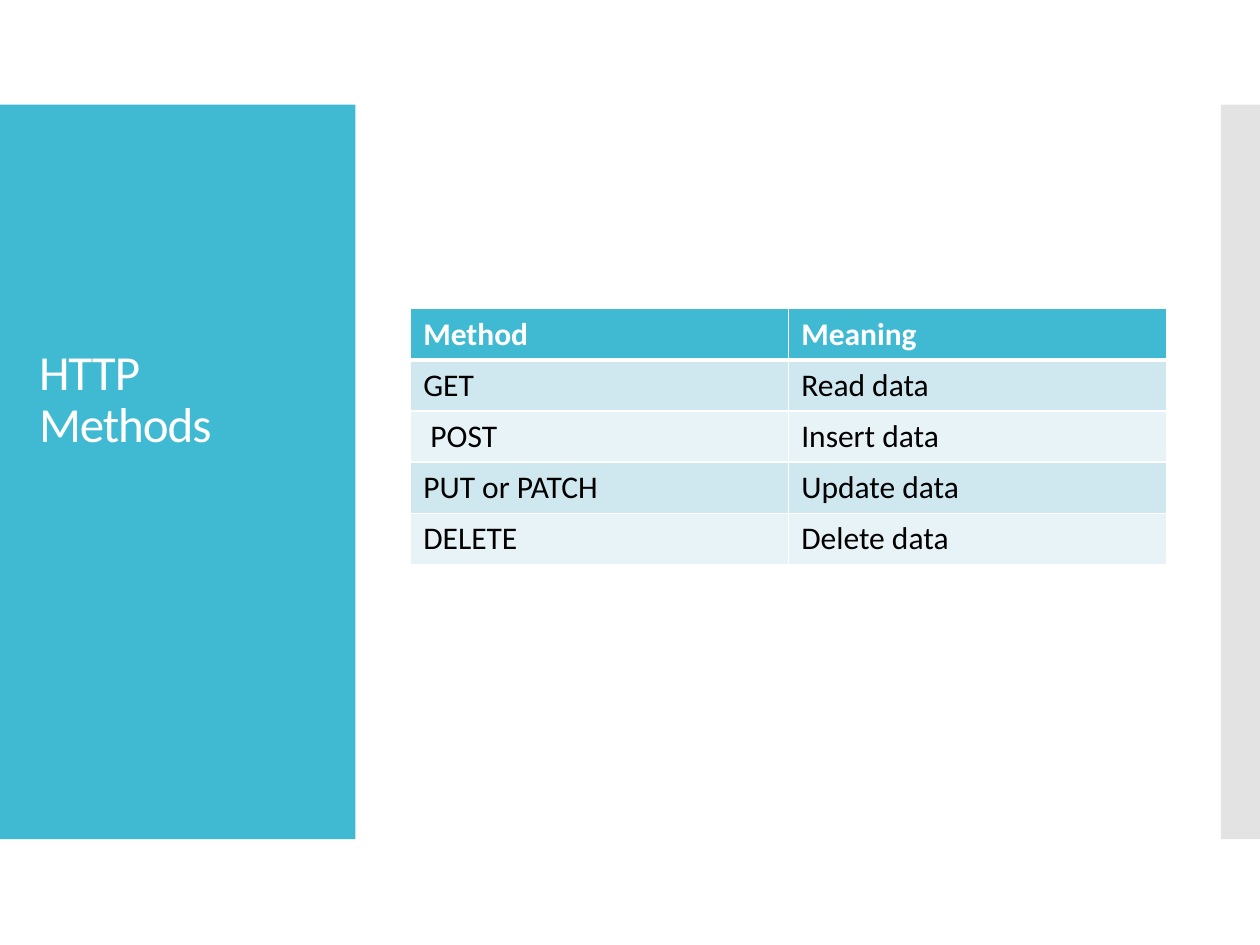
"""Build the HTTP Methods slide with its side panels and table."""
from dataclasses import dataclass

from lxml.etree import SubElement
from pptx import Presentation
from pptx.dml.color import RGBColor
from pptx.enum.shapes import MSO_SHAPE
from pptx.enum.text import MSO_ANCHOR, MSO_AUTO_SIZE, PP_ALIGN
from pptx.oxml.ns import qn
from pptx.util import Inches, Pt

COLORS = {
    "accent": "40BAD2",
    "gray": "C8C8C8",
    "white": "FFFFFF",
    "black": "000000",
    "band_dark": "CFE7EE",
    "band_light": "E8F3F7",
}
FONT = "Calibri"
ROWS = [
    ("Method", "Meaning"),
    ("GET", "Read data"),
    (" POST", "Insert data"),
    ("PUT or PATCH", "Update data"),
    ("DELETE", "Delete data"),
]


@dataclass
class Panel:
    left: float
    width: float
    color: str
    opacity: int = 100


PANELS = [Panel(0, 2.82, "accent"), Panel(9.69, 0.31, "gray", 50)]


def rgb(name: str) -> RGBColor:
    return RGBColor.from_string(COLORS[name])


def style(p, size: int, color: str, bold: bool = False) -> None:
    p.font.name = FONT
    p.font.size = Pt(size)
    p.font.bold = bold
    p.font.color.rgb = rgb(color)


def add_panel(s, panel: Panel) -> None:
    sp = s.shapes.add_shape(MSO_SHAPE.RECTANGLE, Inches(panel.left), Inches(0.83),
                            Inches(panel.width), Inches(5.83))
    sp.shadow.inherit = False
    sp.fill.solid()
    sp.fill.fore_color.rgb = rgb(panel.color)
    sp.line.fill.background()
    if panel.opacity < 100:
        clr = sp.element.spPr.find(f"{qn('a:solidFill')}/{qn('a:srgbClr')}")
        SubElement(clr, qn("a:alpha"), val=str(panel.opacity * 1000))
    s.shapes.title.element.addprevious(sp.element)


def set_title(s, text: str) -> None:
    sp = s.shapes.title
    sp.left, sp.top = Inches(0.21), Inches(1.25)
    sp.width, sp.height = Inches(2.33), Inches(2.4)
    tf = sp.text_frame
    tf.word_wrap = True
    tf.auto_size = MSO_AUTO_SIZE.NONE
    tf.vertical_anchor = MSO_ANCHOR.BOTTOM
    p = tf.paragraphs[0]
    p.alignment = PP_ALIGN.LEFT
    p.line_spacing = 0.9
    r = p.add_run()
    r.text = text
    style(p, 28, "white")
    r.font.size = Pt(28)
    r.font.element.set("spc", "-60") if hasattr(r.font, "element") else r.font._element.set("spc", "-60")


def set_borders(cell, bottom: int) -> None:
    tc_pr = cell._tc.get_or_add_tcPr()
    for side, width in {"L": 1, "R": 1, "T": 1, "B": bottom}.items():
        ln = SubElement(tc_pr, qn(f"a:ln{side}"), w=str(Pt(width)))
        fill = SubElement(ln, qn("a:solidFill"))
        SubElement(fill, qn("a:srgbClr"), val=COLORS["white"])


def add_methods_table(s) -> None:
    table = s.shapes.add_table(len(ROWS), 2, Inches(3.26), Inches(2.45),
                               Inches(6), Inches(2.03)).table
    for i, row in enumerate(ROWS):
        header = i == 0
        band = "accent" if header else "band_dark" if i % 2 else "band_light"
        for j, text in enumerate(row):
            cell = table.cell(i, j)
            set_borders(cell, 3 if header else 1)
            cell.fill.solid()
            cell.fill.fore_color.rgb = rgb(band)
            cell.text = text
            style(cell.text_frame.paragraphs[0], 18, "white" if header else "black", header)


def main() -> None:
    prs = Presentation()
    prs.slide_width, prs.slide_height = Inches(10), Inches(7.5)
    s = prs.slides.add_slide(prs.slide_layouts[5])
    for panel in PANELS:
        add_panel(s, panel)
    set_title(s, "HTTP Methods")
    add_methods_table(s)
    prs.save("out.pptx")


if __name__ == "__main__":
    main()
